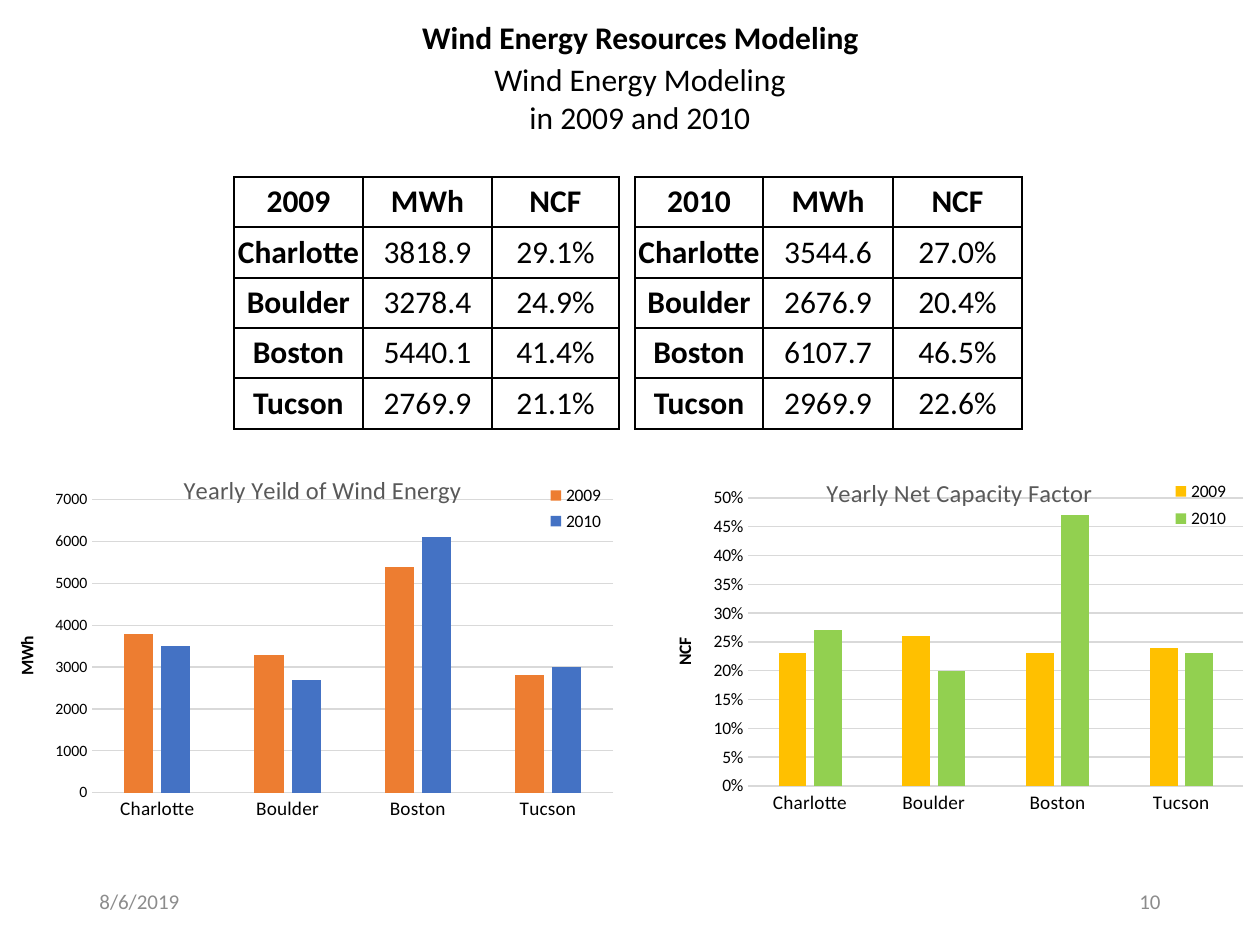
from dataclasses import dataclass

import pptx
import pptx.chart.data
import pptx.dml.color
import pptx.enum.chart
import pptx.enum.text
import pptx.oxml
import pptx.oxml.ns
import pptx.util

EMU_PER_PX = 914400 / 126
ALIGN = pptx.enum.text.PP_ALIGN
ANCHOR = pptx.enum.text.MSO_ANCHOR
qn = pptx.oxml.ns.qn


@dataclass(frozen=True)
class Theme:
    font: str = "Calibri"
    ink: str = "000000"
    footer: str = "8C8C8C"
    chart_title: str = "595959"
    grid: str = "D9D9D9"
    body_size: int = 18
    title_size: int = 14
    footer_size: int = 12
    category_size: int = 11
    label_size: int = 10


@dataclass(frozen=True)
class Box:
    left: int
    top: int
    width: int
    height: int

    def emu(self) -> tuple:
        return tuple(px(v) for v in (self.left, self.top, self.width, self.height))


@dataclass(frozen=True)
class YearTable:
    year: str
    left: int
    columns: tuple
    energy: tuple
    capacity: tuple


@dataclass(frozen=True)
class YearlyChart:
    """Layout boxes are in px, measured from the chart's top left corner."""
    title: str
    unit: str
    box: Box
    plot: Box
    title_box: Box
    unit_box: Box
    legend_box: Box
    maximum: float
    step: float
    number_format: str
    value_size: int
    series: tuple  # (year, values, colour)


THEME = Theme()
CITIES = ("Charlotte", "Boulder", "Boston", "Tucson")
TABLE_TOP = 177
ROW_HEIGHTS = (50, 51, 50, 50, 51)
TABLES = (
    YearTable("2009", 234, (129, 129, 127),
              (3818.9, 3278.4, 5440.1, 2769.9), (0.291, 0.249, 0.414, 0.211)),
    YearTable("2010", 635, (128, 130, 129),
              (3544.6, 2676.9, 6107.7, 2969.9), (0.270, 0.204, 0.465, 0.226)),
)
CHARTS = (
    YearlyChart("Yearly Net Capacity Factor", "NCF", Box(648, 456, 630, 378),
                Box(100, 42, 495, 288), Box(174, 15, 270, 28), Box(22, 178, 18, 32),
                Box(520, 18, 66, 62), 0.5, 0.05, "0%", 10,
                (("2009", (0.23, 0.26, 0.23, 0.24), "FFC000"),
                 ("2010", (0.27, 0.2, 0.47, 0.23), "92D050"))),
    YearlyChart("Yearly Yeild of Wind Energy", "MWh", Box(11, 456, 630, 378),
                Box(81, 44, 521, 293), Box(168, 13, 280, 28), Box(1, 177, 18, 40),
                Box(532, 24, 66, 57), 7000, 1000, "General", 9,
                (("2009", (3800, 3300, 5400, 2800), "ED7D31"),
                 ("2010", (3500, 2700, 6100, 3000), "4472C4"))),
)


def px(value: int) -> pptx.util.Emu:
    return pptx.util.Emu(round(value * EMU_PER_PX))


def rgb(colour: str) -> pptx.dml.color.RGBColor:
    return pptx.dml.color.RGBColor.from_string(colour)


def style_font(font, size: int, colour: str = THEME.ink, bold: bool = False) -> None:
    font.name, font.size, font.bold = THEME.font, pptx.util.Pt(size), bold
    font.color.rgb = rgb(colour)


def write(frame, lines: tuple, size: int, colour: str = THEME.ink,
          bold: bool = False, align=ALIGN.CENTER) -> None:
    for index, line in enumerate(lines):
        paragraph = frame.add_paragraph() if index else frame.paragraphs[0]
        paragraph.alignment = align
        run = paragraph.add_run()
        run.text = line
        style_font(run.font, size, colour, bold)


def add_text(slide, box: Box, lines: tuple, size: int, colour: str, align) -> None:
    frame = slide.shapes.add_textbox(*box.emu()).text_frame
    frame.word_wrap = True
    frame.vertical_anchor = ANCHOR.MIDDLE
    write(frame, lines, size, colour, align=align)


def set_title(slide, box: Box, text: str) -> None:
    title = slide.shapes.title
    title.left, title.top, title.width, title.height = box.emu()
    title.text_frame.word_wrap = False
    title.text_frame.vertical_anchor = ANCHOR.MIDDLE
    write(title.text_frame, (text,), THEME.body_size, bold=True)


def add_borders(cell) -> None:
    properties = cell._tc.get_or_add_tcPr()
    for side in ("lnL", "lnR", "lnT", "lnB"):
        properties.append(pptx.oxml.parse_xml(
            f'<a:{side} {pptx.oxml.ns.nsdecls("a")} w="12700"><a:solidFill>'
            f'<a:srgbClr val="{THEME.ink}"/></a:solidFill></a:{side}>'))


def add_year_table(slide, spec: YearTable) -> None:
    rows = [(spec.year, "MWh", "NCF")]
    rows += [(city, f"{energy:.1f}", f"{capacity:.1%}")
             for city, energy, capacity in zip(CITIES, spec.energy, spec.capacity)]
    box = Box(spec.left, TABLE_TOP, sum(spec.columns), sum(ROW_HEIGHTS))
    table = slide.shapes.add_table(len(rows), len(spec.columns), *box.emu()).table
    table.first_row = table.horz_banding = False
    for column, width in zip(table.columns, spec.columns):
        column.width = px(width)
    for row_index, texts in enumerate(rows):
        table.rows[row_index].height = px(ROW_HEIGHTS[row_index])
        for column_index, text in enumerate(texts):
            cell = table.cell(row_index, column_index)
            cell.margin_left = cell.margin_right = px(3)
            cell.margin_top = cell.margin_bottom = px(6 if row_index < 2 else 3)
            cell.vertical_anchor = ANCHOR.MIDDLE
            add_borders(cell)
            cell.fill.background()
            write(cell.text_frame, (text,), THEME.body_size,
                  bold=row_index == 0 or column_index == 0)


def place(element, box: Box, chart_box: Box, inner: bool = False) -> None:
    """Give a chart part a manual layout."""
    for old in element.findall(qn("c:layout")):
        element.remove(old)
    target = '<c:layoutTarget val="inner"/>' if inner else ""
    fractions = (("x", box.left / chart_box.width), ("y", box.top / chart_box.height),
                 ("w", box.width / chart_box.width), ("h", box.height / chart_box.height))
    modes = "".join(f'<c:{name}Mode val="edge"/>' for name in "xy")
    values = "".join(f'<c:{name} val="{value:.3f}"/>' for name, value in fractions)
    layout = pptx.oxml.parse_xml(
        f'<c:layout {pptx.oxml.ns.nsdecls("c")}><c:manualLayout>'
        f'{target}{modes}{values}</c:manualLayout></c:layout>')
    overlay = element.find(qn("c:overlay"))
    if overlay is None:
        element.insert(0, layout)
    else:
        overlay.addprevious(layout)


def style_line(line, colour: str) -> None:
    line.color.rgb = rgb(colour)
    line.width = pptx.util.Pt(0.75)


def add_yearly_chart(slide, spec: YearlyChart) -> None:
    data = pptx.chart.data.CategoryChartData(number_format=spec.number_format)
    data.categories = CITIES
    for year, values, _ in spec.series:
        data.add_series(year, values)
    chart = slide.shapes.add_chart(pptx.enum.chart.XL_CHART_TYPE.COLUMN_CLUSTERED,
                                   *spec.box.emu(), data).chart
    style_font(chart.font, THEME.label_size)
    write(chart.chart_title.text_frame, (spec.title,), THEME.title_size, THEME.chart_title)

    plot = chart.plots[0]
    plot.gap_width, plot.overlap, plot.vary_by_categories = 219, -27, False
    for series, (_, _, colour) in zip(plot.series, spec.series):
        series.format.fill.solid()
        series.format.fill.fore_color.rgb = rgb(colour)

    category, value = chart.category_axis, chart.value_axis
    for axis, size in ((category, THEME.category_size), (value, spec.value_size)):
        axis.major_tick_mark = axis.minor_tick_mark = pptx.enum.chart.XL_TICK_MARK.NONE
        style_font(axis.tick_labels.font, size)
    style_line(category.format.line, THEME.grid)
    style_line(value.major_gridlines.format.line, THEME.grid)
    value.format.line.fill.background()
    value.minimum_scale, value.maximum_scale, value.major_unit = 0, spec.maximum, spec.step
    value.tick_labels.number_format = spec.number_format
    value.tick_labels.number_format_is_linked = False
    write(value.axis_title.text_frame, (spec.unit,), THEME.label_size, bold=True)

    chart.has_legend = True
    chart.legend.position = pptx.enum.chart.XL_LEGEND_POSITION.RIGHT
    chart.legend.include_in_layout = False
    style_font(chart.legend.font, THEME.label_size)

    root = chart.element.find(qn("c:chart"))
    area = root.find(qn("c:plotArea"))
    place(area, spec.plot, spec.box, inner=True)
    place(root.find(qn("c:title")), spec.title_box, spec.box)
    place(area.find(qn("c:valAx")).find(qn("c:title")), spec.unit_box, spec.box)
    place(root.find(qn("c:legend")), spec.legend_box, spec.box)


def main() -> None:
    presentation = pptx.Presentation()
    presentation.slide_width, presentation.slide_height = px(1260), px(945)
    slide = presentation.slides.add_slide(presentation.slide_layouts[5])
    set_title(slide, Box(408, 12, 465, 50), "Wind Energy Resources Modeling")
    add_text(slide, Box(479, 53, 322, 90), ("Wind Energy Modeling", "in 2009 and 2010"),
             THEME.body_size, THEME.ink, ALIGN.CENTER)
    for table in TABLES:
        add_year_table(slide, table)
    for chart in CHARTS:
        add_yearly_chart(slide, chart)
    for left, text, align in ((87, "8/6/2019", ALIGN.LEFT), (890, "10", ALIGN.RIGHT)):
        add_text(slide, Box(left, 876, 283, 50), (text,),
                 THEME.footer_size, THEME.footer, align)
    presentation.save("out.pptx")


if __name__ == "__main__":
    main()
